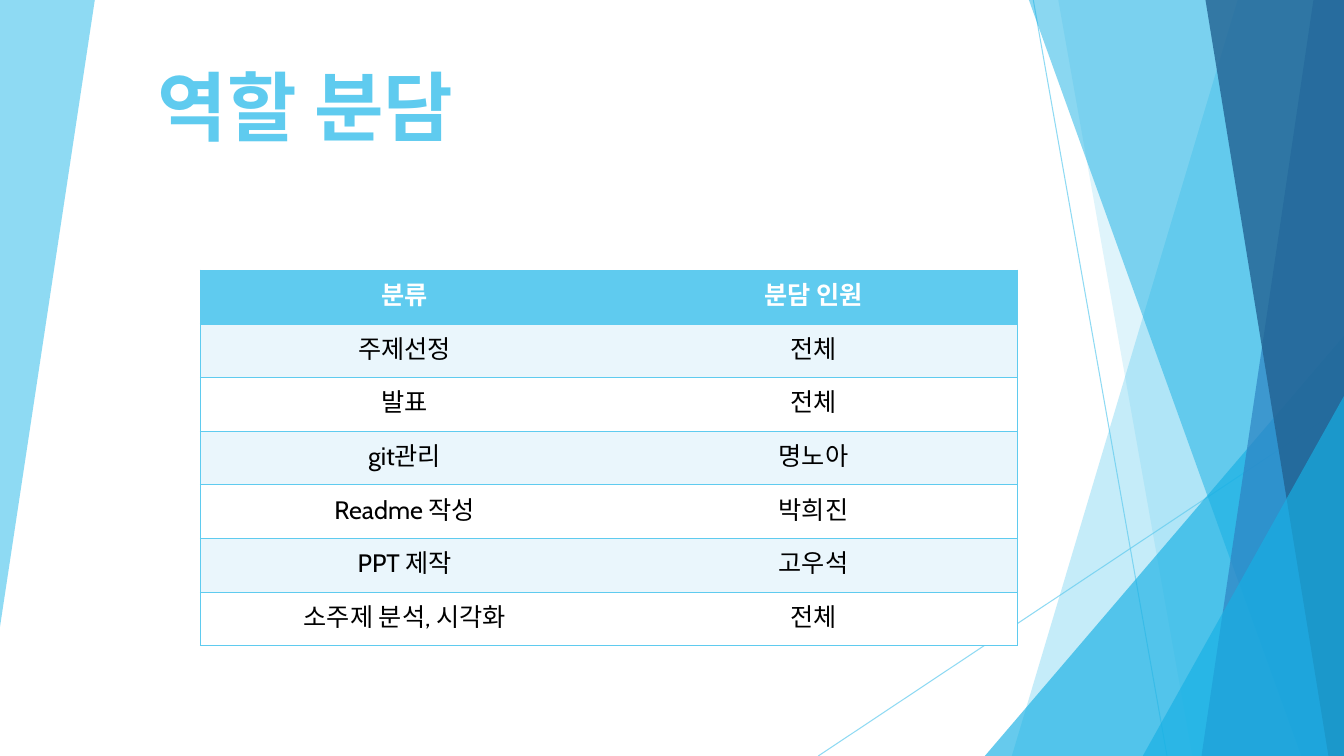
from dataclasses import dataclass

from lxml.etree import SubElement
from pptx import Presentation
from pptx.dml.color import RGBColor as Rgb
from pptx.enum.shapes import MSO_CONNECTOR as Link, MSO_SHAPE as Kind
from pptx.enum.text import MSO_ANCHOR as Anchor, PP_ALIGN as Align
from pptx.oxml.ns import qn
from pptx.util import Cm, Pt

Point = tuple[float, float]


@dataclass(frozen=True)
class Theme:
    font: str = "Cabin"
    sky: str = "5FCBEF"
    aqua: str = "17B0E4"
    blue: str = "2E83C3"
    navy: str = "226292"
    pale: str = "EAF6FC"
    white: str = "FFFFFF"
    black: str = "000000"
    title: int = 54
    body: int = 18
    thin: float = 0.75
    rule: float = 1


@dataclass(frozen=True)
class Facet:
    points: tuple[Point, ...]
    color: str
    alpha: int


@dataclass(frozen=True)
class Wedge:
    """Right triangle that stands in the lower right corner."""
    left: float
    top: float
    color: str
    alpha: int


@dataclass(frozen=True)
class Ray:
    start: Point
    end: Point


LOOK = Theme()
WIDE, HIGH = 33.87, 19.05


def shard(top: float, foot: float, color: str, alpha: int) -> Facet:
    """Facet along the right edge, given where its left side starts and ends."""
    return Facet(((top, 0), (WIDE, 0), (WIDE, HIGH), (foot, HIGH)), color, alpha)


DECOR = (
    Facet(((0, 0), (2.39, 0), (0, 15.8)), LOOK.sky, 70),
    Ray((26.04, 0), (29.41, HIGH)),
    Ray((WIDE, 10.24), (20.62, HIGH)),
    shard(31.19, 25.5, LOOK.sky, 36),
    shard(26.67, 30.05, LOOK.sky, 20),
    Wedge(24.82, 8.46, LOOK.aqua, 66),
    shard(25.93, 32.79, LOOK.aqua, 50),
    shard(33.1, 30.28, LOOK.blue, 70),
    shard(30.38, 33.48, LOOK.navy, 80),
    Wedge(28.8, 9.98, LOOK.aqua, 66),
)

ROLES = (
    ("분류", "분담 인원"),
    ("주제선정", "전체"),
    ("발표", "전체"),
    ("git관리", "명노아"),
    ("Readme 작성", "박희진"),
    ("PPT 제작", "고우석"),
    ("소주제 분석, 시각화", "전체"),
)


def fade(fill, alpha: int) -> None:
    """Set the opacity, in percent, of a solid fill element."""
    tone = fill.find(".//" + qn("a:srgbClr"))
    SubElement(tone, qn("a:alpha"), val=str(alpha * 1000))


def paint(shape, color: str, alpha: int) -> None:
    shape.shadow.inherit = False
    shape.line.fill.background()
    shape.fill.solid()
    shape.fill.fore_color.rgb = Rgb.from_string(color)
    fade(shape._element.spPr.find(qn("a:solidFill")), alpha)


def write(frame, text: str, *, size: int, color: str, bold: bool = False) -> None:
    para = frame.paragraphs[0]
    para.alignment = Align.CENTER
    run = para.add_run()
    run.text = text
    font = run.font
    font.name, font.size, font.bold = LOOK.font, Pt(size), bold
    font.color.rgb = Rgb.from_string(color)


def draw_facet(slide, item: Facet) -> None:
    first, *rest = [(Cm(x), Cm(y)) for x, y in item.points]
    pen = slide.shapes.build_freeform(*first)
    pen.add_line_segments(rest, close=True)
    paint(pen.convert_to_shape(), item.color, item.alpha)


def draw_wedge(slide, item: Wedge) -> None:
    shape = slide.shapes.add_shape(
        Kind.ISOSCELES_TRIANGLE, Cm(item.left), Cm(item.top),
        Cm(WIDE - item.left), Cm(HIGH - item.top))
    shape.adjustments[0] = 1
    paint(shape, item.color, item.alpha)


def draw_ray(slide, item: Ray) -> None:
    ends = [Cm(n) for n in item.start + item.end]
    line = slide.shapes.add_connector(Link.STRAIGHT, *ends)
    line.line.width = Pt(LOOK.thin)
    line.line.color.rgb = Rgb.from_string(LOOK.sky)
    prop = line._element.spPr
    fade(prop.find(qn("a:ln")), 70)
    SubElement(prop, qn("a:effectLst"))


def edge(cell, sides: str) -> None:
    """Rule the given sides (of L, R, T, B, in that order) of a cell."""
    prop = cell._tc.get_or_add_tcPr()
    for spot, side in enumerate(sides):
        line = SubElement(prop, qn("a:ln" + side), w=str(Pt(LOOK.rule)))
        fill = SubElement(line, qn("a:solidFill"))
        SubElement(fill, qn("a:srgbClr"), val=LOOK.sky)
        prop.insert(spot, line)


def draw_roles(slide) -> None:
    rows, cols = len(ROLES), len(ROLES[0])
    table = slide.shapes.add_table(
        rows, cols, Cm(5.05), Cm(6.81), Cm(20.6), Cm(9.47)).table
    table.first_row = table.horz_banding = False
    plain = "{2D5ABB26-0587-4C30-8999-92F81FD0307C}"
    table._tbl.tblPr.find(qn("a:tableStyleId")).text = plain
    for r, row in enumerate(ROLES):
        head = r == 0
        back = LOOK.sky if head else LOOK.pale if r % 2 else LOOK.white
        for c, text in enumerate(row):
            cell = table.cell(r, c)
            cell.fill.solid()
            cell.fill.fore_color.rgb = Rgb.from_string(back)
            edge(cell, ("R" if c else "L") + "TB")
            write(cell.text_frame, text, size=LOOK.body, bold=head,
                  color=LOOK.white if head else LOOK.black)


def draw_title(slide) -> None:
    box = slide.shapes.add_textbox(Cm(2.7), Cm(0.23), Cm(10), Cm(3.68))
    frame = box.text_frame
    frame.word_wrap = True
    frame.vertical_anchor = Anchor.BOTTOM
    write(frame, "역할 분담", size=LOOK.title, color=LOOK.sky, bold=True)


def main() -> None:
    deck = Presentation()
    deck.slide_width, deck.slide_height = Cm(WIDE), Cm(HIGH)
    slide = deck.slides.add_slide(deck.slide_layouts[6])
    tools = {Facet: draw_facet, Wedge: draw_wedge, Ray: draw_ray}
    for item in DECOR:
        tools[type(item)](slide, item)
    draw_roles(slide)
    draw_title(slide)
    deck.save("out.pptx")


if __name__ == "__main__":
    main()
